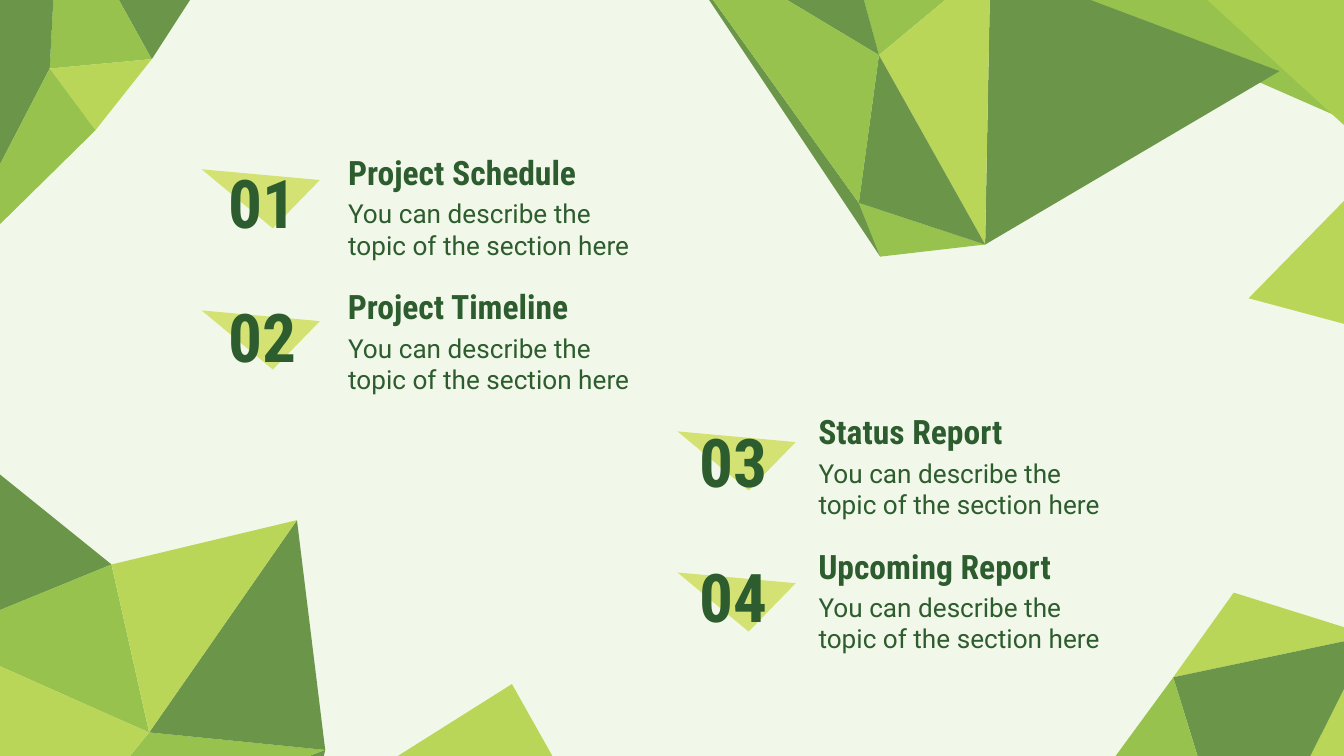
from pptx import Presentation
from pptx.dml.color import RGBColor
from pptx.enum.text import MSO_ANCHOR, MSO_AUTO_SIZE, PP_ALIGN
from pptx.oxml.ns import qn
from pptx.util import Inches, Pt
from lxml.etree import SubElement

COLORS = {
    "background": "F2F8E9",
    "dark": "6B964A",
    "leaf": "96C24D",
    "fresh": "AACE50",
    "lime": "B9D658",
    "marker": "D4E273",
    "text": "2D5C2E",
}

FACET_CLUSTERS = [
    {
        "points": [(-0.45, 2.53), (-0.61, -1.33), (0.52, -1.13), (0.44, -0.8),
                   (1.13, 0.44), (1.97, -0.86), (0.37, 0.51), (-0.47, 2.13),
                   (0.71, 0.97)],
        "facets": [("dark", 0, 1, 2), ("dark", 3, 4, 5), ("leaf", 3, 4, 6),
                   ("dark", 3, 7, 6), ("lime", 4, 8, 6), ("leaf", 8, 7, 6)],
    },
    {
        "points": [(1.74, 8.52), (2.42, 5.58), (0.37, 6.36), (-0.49, 4.74),
                   (0.83, 4.2), (-0.72, 2.95), (1.11, 5.45), (2.21, 3.87)],
        "facets": [("dark", 0, 1, 2), ("dark", 3, 4, 5), ("leaf", 3, 4, 6),
                   ("leaf", 2, 1, 6), ("lime", 2, 3, 6), ("dark", 6, 1, 7),
                   ("lime", 6, 4, 7)],
    },
    {
        "points": [(9.96, 0.87), (7.38, -0.26), (8.11, -0.91), (6.54, 0.41),
                   (7.37, -0.28), (6.33, -0.36), (4.89, -0.58), (10, 0.93),
                   (10.68, 0.08), (8.71, -0.25), (9.52, 0.53), (7.33, 1.82),
                   (6.55, 1.91), (6.39, 1.51)],
        "facets": [("leaf", 0, 1, 2), ("leaf", 3, 4, 5), ("dark", 3, 6, 5),
                   ("fresh", 7, 8, 9), ("dark", 10, 4, 11), ("lime", 3, 4, 11),
                   ("leaf", 11, 12, 13), ("dark", 11, 3, 13),
                   ("dark", 12, 6, 13), ("leaf", 3, 6, 13)],
    },
    {
        "points": [(10.2, 4.73), (9.23, 6.66), (10.49, 6.51), (9.18, 4.41),
                   (8.73, 5.04), (8.07, 5.94)],
        "facets": [("lime", 0, 1, 2), ("lime", 0, 3, 4), ("dark", 0, 1, 4),
                   ("leaf", 5, 1, 4)],
    },
    {
        "points": [(3.81, 5.09), (4.17, 5.73), (2.81, 5.72),
                   (10, 2.41), (9.29, 2.22), (10.24, 1.25)],
        "facets": [("lime", 0, 1, 2), ("lime", 3, 4, 5)],
    },
]

SECTIONS = [
    ("01", "Project Schedule", 1.44, 1.07, (2.03, 1.7)),
    ("02", "Project Timeline", 1.44, 2.07, (2.03, 2.75)),
    ("03", "Status Report", 4.94, 3, (5.57, 3.65)),
    ("04", "Upcoming Report", 4.94, 4, (5.57, 4.7)),
]
DESCRIPTION = ["You can describe the", "topic of the section here"]


def color(name):
    """Return the named colour."""
    return RGBColor.from_string(COLORS[name])


def add_triangle(slide, points, fill):
    """Draw a filled triangle through three points given in inches."""
    start, *others = [(Inches(x), Inches(y)) for x, y in points]
    builder = slide.shapes.build_freeform(*start)
    builder.add_line_segments(others, close=True)
    shape = builder.convert_to_shape()
    shape.shadow.inherit = False
    shape.fill.solid()
    shape.fill.fore_color.rgb = color(fill)
    shape.line.fill.background()


def write_text(slide, lines, left, top, width, height, placeholder=None, size=18,
               font="Roboto Condensed", bold=True, align=PP_ALIGN.LEFT,
               anchor=MSO_ANCHOR.BOTTOM):
    """Write lines into a placeholder or a new text box."""
    box = [Inches(length) for length in (left, top, width, height)]
    shape = placeholder
    if shape is None:
        shape = slide.shapes.add_textbox(*box)
    shape.left, shape.top, shape.width, shape.height = box
    frame = shape.text_frame
    frame.word_wrap = True
    frame.auto_size = MSO_AUTO_SIZE.NONE
    frame.vertical_anchor = anchor
    frame.margin_left = frame.margin_right = Inches(0.1)
    frame.margin_top = frame.margin_bottom = Inches(0.1)
    frame.text = "\n".join(lines)
    for paragraph in frame.paragraphs:
        properties = paragraph._p.get_or_add_pPr()
        properties.set("marL", "0")
        properties.set("indent", "0")
        SubElement(properties, qn("a:buNone"))
        paragraph.alignment = align
        paragraph.space_before = Pt(0)
        for run in paragraph.runs:
            run.font.name = font
            run.font.size = Pt(size)
            run.font.bold = bold
            run.font.color.rgb = color("text")


def add_section(slide, section, title, body):
    """Add one numbered section with its marker, heading and description."""
    number, heading, left, top, (tip_x, tip_y) = section
    marker = [(tip_x, tip_y), (tip_x + 0.35, tip_y - 0.36),
              (tip_x - 0.53, tip_y - 0.44)]
    add_triangle(slide, marker, "marker")
    text_left = left + 1.05
    write_text(slide, [heading], text_left, top, 2.57, 0.46, placeholder=title)
    write_text(slide, DESCRIPTION, text_left, top + 0.3, 2.57, 0.63,
               placeholder=body, size=14, font="Roboto", bold=False,
               anchor=MSO_ANCHOR.TOP)
    write_text(slide, [number], left, top + 0.37, 1.03, 0.46, size=36,
               align=PP_ALIGN.CENTER)


def main():
    """Build the contents slide."""
    presentation = Presentation()
    presentation.slide_width = Inches(10)
    presentation.slide_height = Inches(10) * 9 // 16
    slide = presentation.slides.add_slide(
        presentation.slide_layouts.get_by_name("Comparison"))
    slide.background.fill.solid()
    slide.background.fill.fore_color.rgb = color("background")
    title, *bodies = list(slide.placeholders)[:5]
    for cluster in FACET_CLUSTERS:
        for fill, *corners in cluster["facets"]:
            add_triangle(slide, [cluster["points"][corner] for corner in corners], fill)
    titles = [title, None, None, None]
    for section, heading, body in zip(SECTIONS, titles, bodies):
        add_section(slide, section, heading, body)
    presentation.save("out.pptx")


if __name__ == "__main__":
    main()
